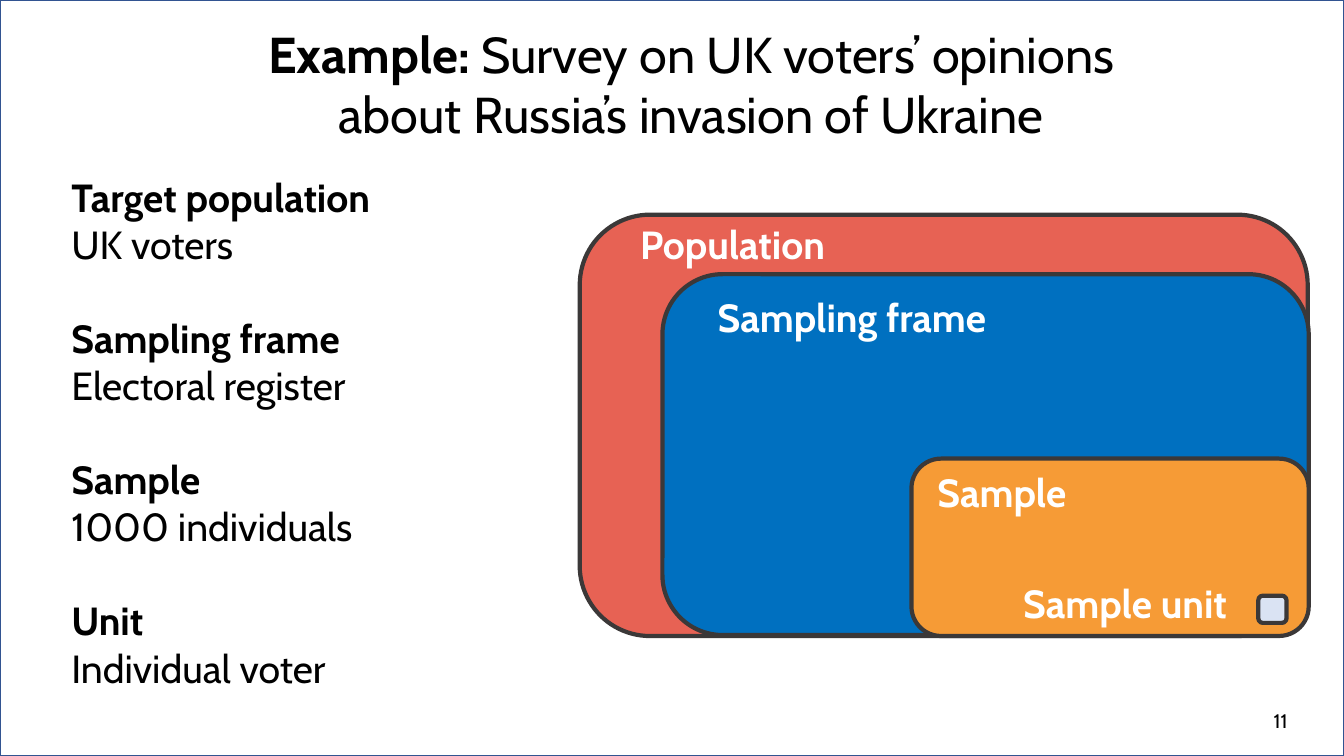
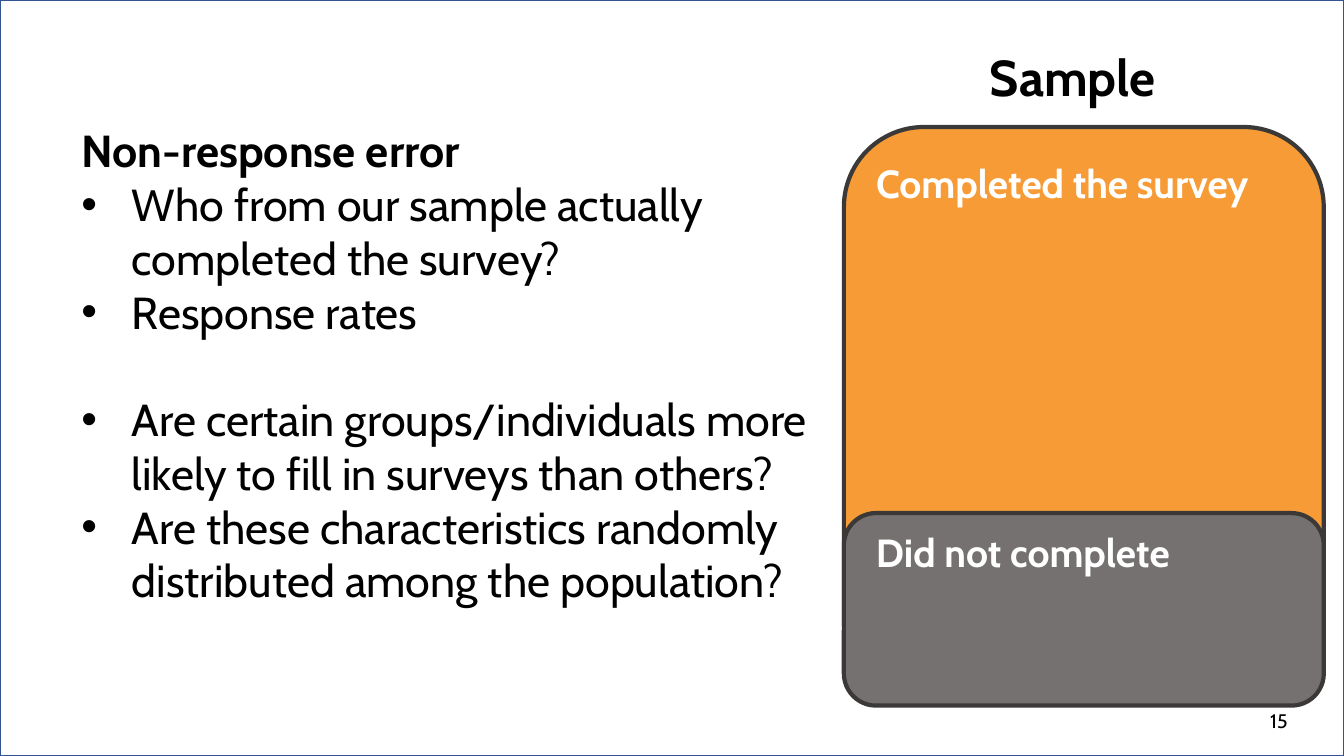
from lxml.etree import SubElement
from pptx import Presentation
from pptx.dml.color import RGBColor
from pptx.enum.shapes import MSO_SHAPE
from pptx.enum.text import MSO_ANCHOR, PP_ALIGN
from pptx.oxml.ns import qn
from pptx.util import Inches, Pt

COLORS = {
    "black": "000000", "white": "FFFFFF", "frame": "325491",
    "outline": "3B3838", "red": "E76254", "blue": "0070C0",
    "orange": "F69B36", "grey": "767171", "pale": "DAE3F3",
}
FONT = "Cabin"
LINE_SPACE = 1.2  # height of one line relative to the text size


def add_box(slide, preset, box, fill, line="outline", width=3):
    shape = slide.shapes.add_shape(preset, *map(Inches, box))
    shape.shadow.inherit = False
    shape.fill.solid()
    shape.fill.fore_color.rgb = RGBColor.from_string(COLORS[fill])
    shape.line.color.rgb = RGBColor.from_string(COLORS[line])
    shape.line.width = Pt(width)


def add_text(slide, box, paragraphs, size=28, color="black",
             align=PP_ALIGN.LEFT, anchor=MSO_ANCHOR.TOP):
    """Each paragraph is (runs, bulleted, gap before); a run is (text, bold)."""
    frame = slide.shapes.add_textbox(*map(Inches, box)).text_frame
    frame.word_wrap = True
    frame.vertical_anchor = anchor
    for index, (runs, bulleted, gap) in enumerate(paragraphs):
        paragraph = frame.add_paragraph() if index else frame.paragraphs[0]
        paragraph.alignment = align
        if gap:
            paragraph.space_before = Pt(size * LINE_SPACE)
        if bulleted:
            properties = paragraph._p.get_or_add_pPr()
            properties.set("marL", str(Inches(0.5)))
            properties.set("indent", str(-Inches(0.5)))
            SubElement(properties, qn("a:buFont")).set("typeface", "Arial")
            SubElement(properties, qn("a:buChar")).set("char", "•")
        for text, bold in runs:
            run = paragraph.add_run()
            run.text = text
            style = {"name": FONT, "size": Pt(size), "bold": bold}
            for attribute, value in style.items():
                setattr(run.font, attribute, value)
            run.font.color.rgb = RGBColor.from_string(COLORS[color])


presentation = Presentation()
presentation.slide_width = Inches(13.33)
presentation.slide_height = Inches(7.5)

# Shared frame and slide number
slides = []
for number in ("11", "15"):
    slide = presentation.slides.add_slide(presentation.slide_layouts[6])
    add_box(slide, MSO_SHAPE.RECTANGLE, (0, 0, 13.33, 7.5), "white", "frame", 1)
    add_text(slide, (9.87, 6.95, 3, 0.4), [([(number, False)], False, False)],
             14, align=PP_ALIGN.RIGHT, anchor=MSO_ANCHOR.MIDDLE)
    slides.append(slide)
example_slide, error_slide = slides

# Example slide: title
title_runs = [
    ("Example: ", True),
    ("Survey on UK voters’ opinions about Russia’s invasion of Ukraine", False),
]
add_text(example_slide, (2.51, 0.18, 8.69, 1.31), [(title_runs, False, False)],
         36, align=PP_ALIGN.CENTER)

# Example slide: terms and their meaning
terms = [
    ("Target population", "UK voters"),
    ("Sampling frame", "Electoral register"),
    ("Sample", "1000 individuals"),
    ("Unit", "Individual voter"),
]
term_paragraphs = []
for index, (term, meaning) in enumerate(terms):
    term_paragraphs.append(([(term, True)], False, index > 0))
    term_paragraphs.append(([(meaning, False)], False, False))
add_text(example_slide, (0.61, 1.67, 5.46, 5.28), term_paragraphs)

# Error slide: heading and questions
questions = [
    ("Who from our sample actually completed the survey?", False),
    ("Response rates", False),
    ("Are certain groups/individuals more likely to fill in surveys than others?", True),
    ("Are these characteristics randomly distributed among the population?", False),
]
error_paragraphs = [([("Non-response error", True)], False, False)]
for question, gap in questions:
    error_paragraphs.append(([(question, False)], True, gap))
add_text(error_slide, (0.71, 1.17, 7.48, 6.02), error_paragraphs, 32)
add_text(error_slide, (9.72, 0.41, 2.57, 0.71),
         [([("Sample", True)], False, False)], 36)

# Nested areas of both diagrams: slide, area, fill, label, label box
areas = [
    (example_slide, (5.75, 2.13, 7.22, 4.18), "red",
     "Population", (6.25, 2.14, 2.57, 0.57)),
    (example_slide, (6.57, 2.72, 6.41, 3.58), "blue",
     "Sampling frame", (7.02, 2.86, 3.59, 0.57)),
    (example_slide, (9.04, 4.55, 3.94, 1.76), "orange",
     "Sample", (9.2, 4.6, 2.57, 0.57)),
    (example_slide, (12.48, 5.91, 0.28, 0.27), "pale",
     "Sample unit", (10.05, 5.7, 2.57, 0.57)),
    (error_slide, (8.37, 1.26, 4.76, 5.69), "orange",
     "Completed the survey", (8.59, 1.53, 4.62, 0.57)),
    (error_slide, (8.37, 5.09, 4.76, 1.91), "grey",
     "Did not complete", (8.59, 5.19, 3.7, 0.57)),
]
for slide, area, fill, label, label_box in areas:
    add_box(slide, MSO_SHAPE.ROUNDED_RECTANGLE, area, fill)
    add_text(slide, label_box, [([(label, True)], False, False)], color="white")

presentation.save("out.pptx")
